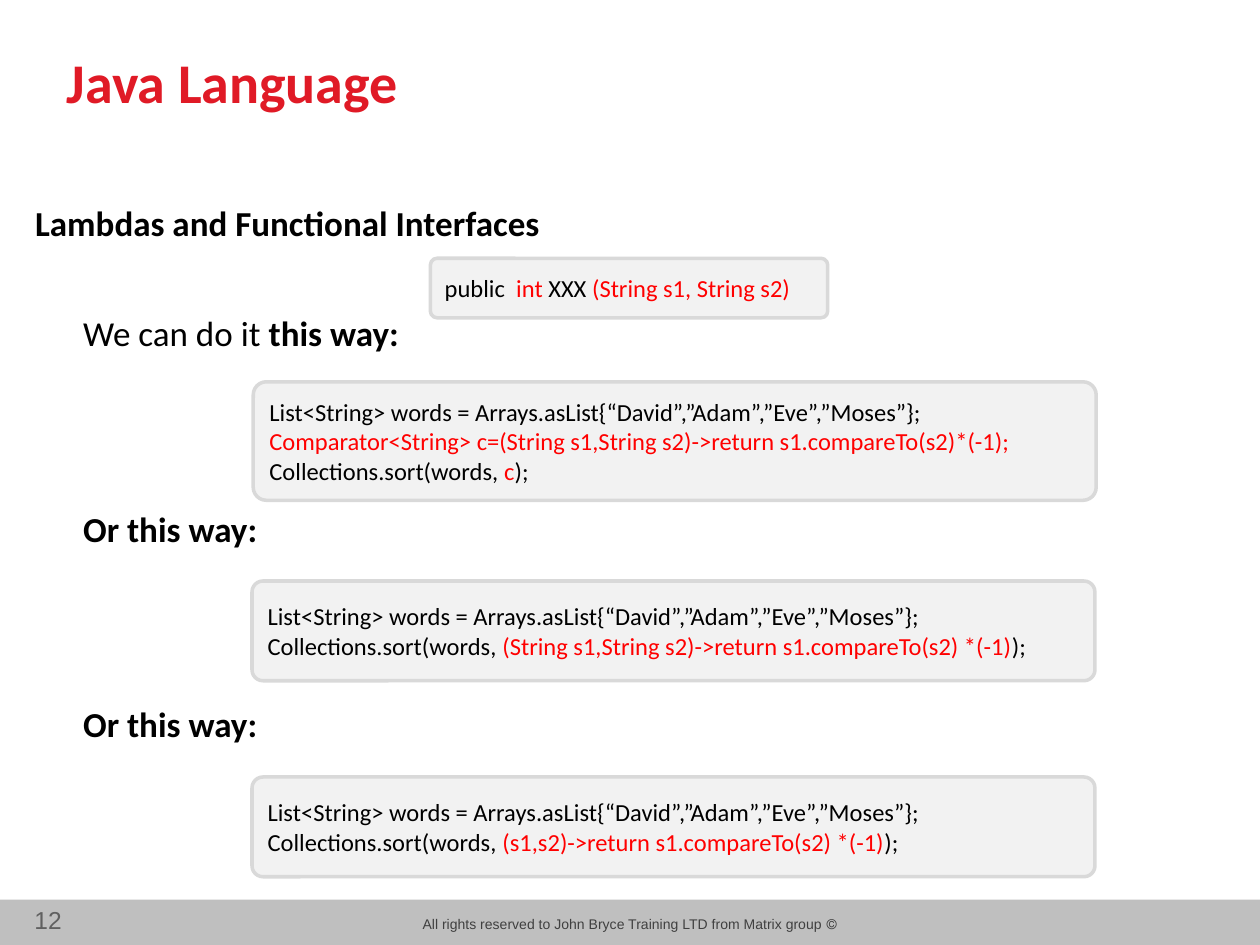
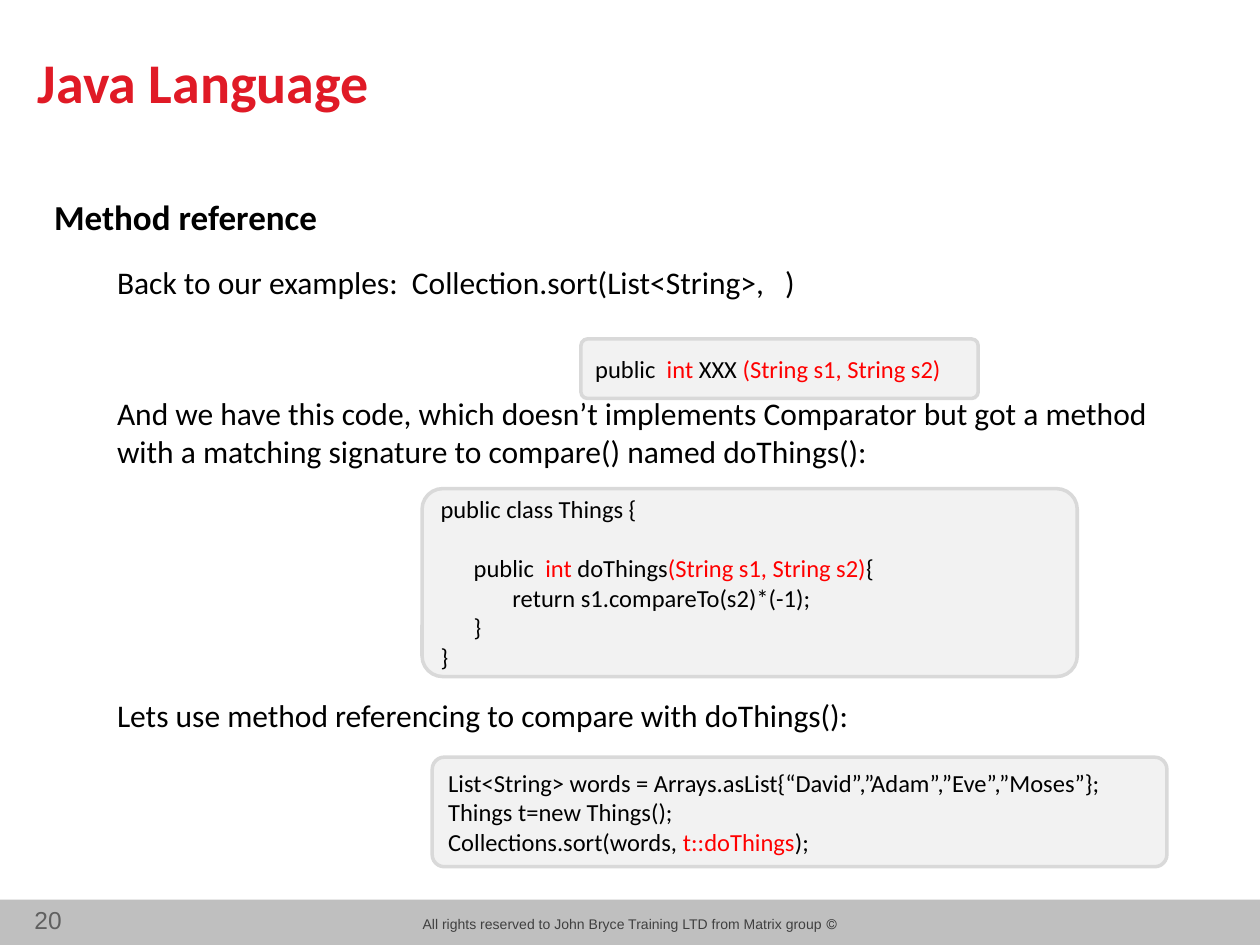
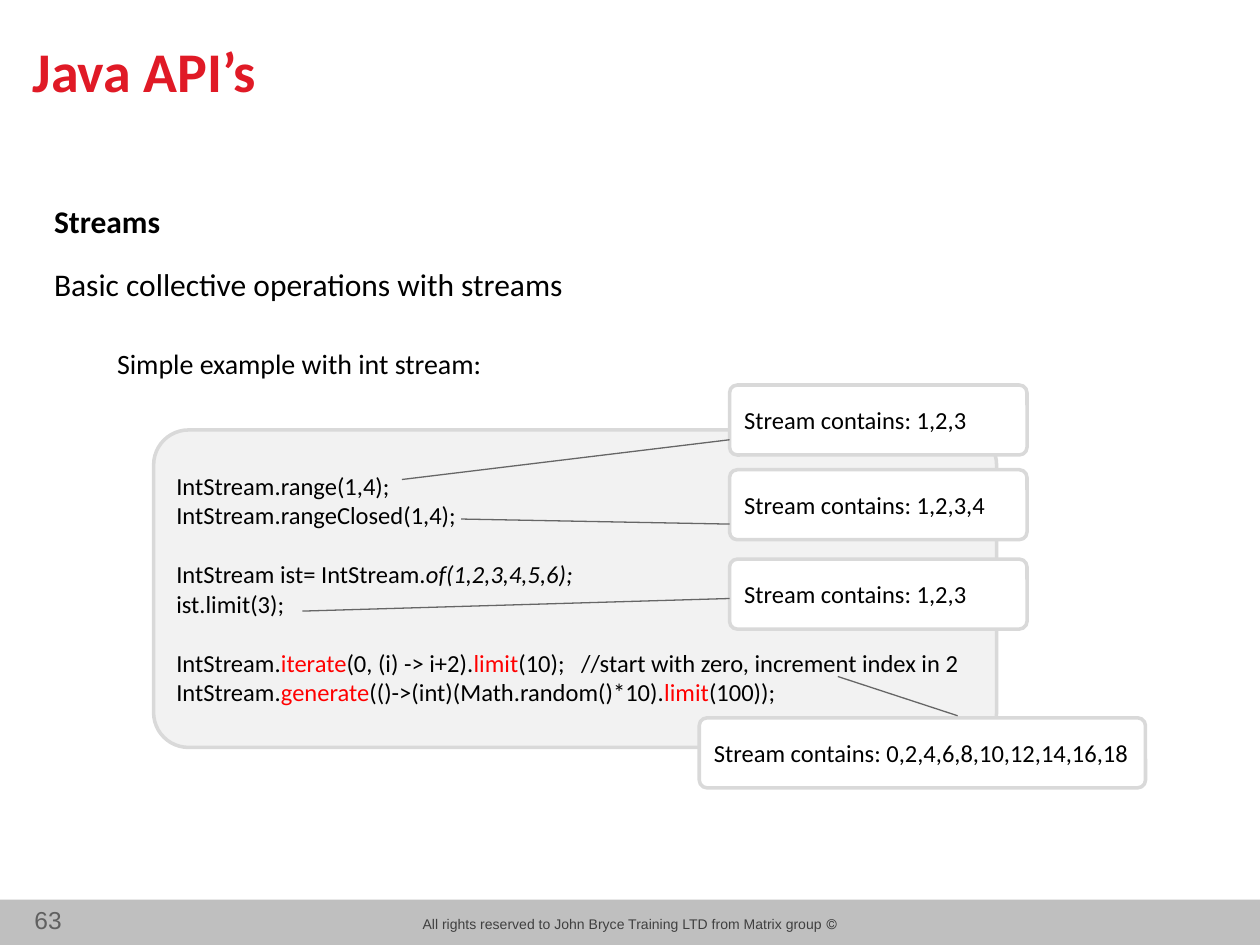
from pptx import Presentation
from pptx.dml.color import RGBColor
from pptx.enum.shapes import MSO_CONNECTOR as Connector, MSO_SHAPE as Preset
from pptx.enum.text import MSO_ANCHOR as Anchor, PP_ALIGN as Align
from pptx.util import Pt
from lxml.etree import SubElement
from pptx.oxml.ns import qn
from dataclasses import dataclass


@dataclass(frozen=True)
class Theme:
    red: str = "E01A26"
    accent: str = "FF0000"
    ink: str = "000000"
    band: str = "BFBFBF"
    code_fill: str = "F2F2F2"
    callout_fill: str = "FFFFFF"
    border: str = "D9D9D9"
    leader: str = "666666"
    footer_ink: str = "404040"
    number_ink: str = "606060"
    text_font: str = "Calibri"
    footer_font: str = "Arial"
    title_size: int = 32
    code_size: int = 14
    number_size: int = 14
    footer_size: int = 8
    code_gap: float = 17.1


THEME = Theme()
WIDTH, HEIGHT = 720, 540
BAND_TOP = 514

# Styles that a piece of text may name; a plain string has none.
STYLES = {
    "red": {"color": THEME.accent},
    "bold": {"bold": True},
    "italic": {"italic": True},
}

FOOTER = "© All rights reserved to John Bryce Training LTD from Matrix group"
WORDS = ["List<String> words = Arrays.asList{“David”,”Adam”,”Eve”,”Moses”};"]
SIGNATURE = [[["public  ", ("int", "red"), " XXX ", ("(String s1, String s2)", "red")]]]


def sort_call(argument):
    return ["Collections.sort(words, ", (argument, "red"), ");"]


# body: (space before, indent, size, pieces)
# code and callouts: (left, top, width, height, blocks of lines); a blank line parts two blocks
# leaders: (from x, from y, to x, to y)
SLIDES = [
    {
        "number": "12",
        "title": ("Java Language", 31, 20),
        "body_at": (13, 111.6),
        "body": [
            (0, 0, 20, [("Lambdas and Functional Interfaces", "bold")]),
            (39, 27.4, 20, ["We can do it ", ("this way:", "bold")]),
            (87.6, 27.4, 20, [("Or this way:", "bold")]),
            (87.6, 27.4, 20, [("Or this way:", "bold")]),
        ],
        "code": [
            (246, 147.6, 227, 34, SIGNATURE),
            (144.7, 218.2, 481.7, 67.7, [[
                WORDS,
                [("Comparator<String> c=(String s1,String s2)->return s1.compareTo(s2)*(-1);", "red")],
                sort_call("c"),
            ]]),
            (144, 332, 481.7, 57, [[
                WORDS, sort_call("(String s1,String s2)->return s1.compareTo(s2) *(-1)"),
            ]]),
            (144, 444, 481.7, 57, [[
                WORDS, sort_call("(s1,s2)->return s1.compareTo(s2) *(-1)"),
            ]]),
        ],
    },
    {
        "number": "20",
        "title": ("Java Language", 14.4, 20),
        "body_at": (23.8, 108),
        "body": [
            (0, 0, 20, [("Method reference", "bold")]),
            (14.6, 36, 18, ["Back to our examples:  Collection.sort(List<String>,   )"]),
            (53.5, 36, 18, [
                "And we have this code, which doesn’t implements Comparator but got a method "
                "with a matching signature to compare() named doThings():"]),
            (129.5, 36, 18, ["Lets use method referencing to compare with doThings():"]),
        ],
        "code": [
            (247, 432.7, 419.8, 62.6, [[
                WORDS, ["Things t=new Things();"], sort_call("t::doThings"),
            ]]),
            (332, 193.7, 227, 34, SIGNATURE),
            (241.2, 279.2, 374.4, 107.4, [
                [["public class Things {"]],
                [
                    ["      public  ", ("int ", "red"), "doThings",
                     ("(String s1, String s2)", "red"), "{"],
                    ["             return s1.compareTo(s2)*(-1);"],
                    ["      }"],
                    ["}"],
                ],
            ]),
        ],
    },
    {
        "number": "63",
        "title": ("Java API’s", 11.5, 13.7),
        "body_at": (23.8, 111.6),
        "body": [
            (0, 0, 18, [("Streams", "bold")]),
            (14.6, 0, 18, ["Basic collective operations with streams"]),
            (25, 36, 16, ["Simple example with int stream:"]),
        ],
        "code": [
            (87.8, 245.7, 481.7, 181.4, [
                [["IntStream.range(1,4);"], ["IntStream.rangeClosed(1,4);"]],
                [["IntStream ist= IntStream.", ("of(1,2,3,4,5,6);", "italic")], ["ist.limit(3);"]],
                [
                    ["IntStream.", ("iterate", "red"), "(0, (i) -> i+2).", ("limit", "red"),
                     "(10);   //start with zero, increment index in 2"],
                    ["IntStream.", ("generate", "red"), "(()->(int)(Math.random()*10).",
                     ("limit", "red"), "(100));"],
                ],
            ]),
        ],
        "callouts": [
            (416.9, 220, 170, 40, [[["Stream contains: 1,2,3"]]]),
            (416.9, 268.4, 170, 40, [[["Stream contains: 1,2,3,4"]]]),
            (416.9, 319.5, 170, 40, [[["Stream contains: 1,2,3"]]]),
            (399.6, 410.2, 255, 40, [[["Stream contains: 0,2,4,6,8,10,12,14,16,18"]]]),
        ],
        "leaders": [
            (229.7, 274, 416.9, 251.3),
            (263.5, 296.6, 416.9, 299.5),
            (172.8, 349.2, 416.9, 342),
            (478.8, 386.6, 547.2, 409),
        ],
    },
]


def color(value):
    return RGBColor.from_string(value)


def write(paragraph, pieces, **base):
    for piece in pieces:
        text, style = piece if isinstance(piece, tuple) else (piece, None)
        run = paragraph.add_run()
        run.text = text
        formats = {"name": THEME.text_font, "color": THEME.ink, **base, **STYLES.get(style, {})}
        run.font.color.rgb = color(formats.pop("color"))
        for attribute, value in formats.items():
            setattr(run.font, attribute, value)


def add_paragraph(frame, first):
    return frame.paragraphs[0] if first else frame.add_paragraph()


def add_text_box(slide, left, top, width, height):
    frame = slide.shapes.add_textbox(Pt(left), Pt(top), Pt(width), Pt(height)).text_frame
    frame.word_wrap = True
    return frame


def add_shape(slide, preset, box, fill, line=None):
    shape = slide.shapes.add_shape(preset, *map(Pt, box))
    shape.shadow.inherit = False
    shape.fill.solid()
    shape.fill.fore_color.rgb = color(fill)
    if line:
        shape.line.color.rgb = color(line)
        shape.line.width = Pt(2)
    else:
        shape.line.fill.background()
    return shape


def add_frame(slide, content):
    """Footer band, footer text, page number and title."""
    add_shape(slide, Preset.RECTANGLE, (0, BAND_TOP, WIDTH, HEIGHT - BAND_TOP), THEME.band)

    footer = add_text_box(slide, 210, 519.8, 300, 17).paragraphs[0]
    footer.alignment = Align.CENTER
    footer._p.get_or_add_pPr().set("rtl", "1")
    write(footer, [FOOTER], name=THEME.footer_font, size=Pt(THEME.footer_size),
          color=THEME.footer_ink)

    number = add_text_box(slide, 0, 513.4, 42.4, 24.5).paragraphs[0]
    number.alignment = Align.RIGHT
    write(number, [content["number"]], name=THEME.footer_font, size=Pt(THEME.number_size),
          color=THEME.number_ink)

    text, left, top = content["title"]
    title = add_text_box(slide, left, top, 635, 45.4)
    title.vertical_anchor = Anchor.BOTTOM
    title.margin_bottom = 0
    write(title.paragraphs[0], [text], size=Pt(THEME.title_size), bold=True, color=THEME.red)


def add_body(slide, left, top, items):
    frame = add_text_box(slide, left, top, 670, 306)
    for index, (gap, indent, size, pieces) in enumerate(items):
        paragraph = add_paragraph(frame, index == 0)
        paragraph._p.get_or_add_pPr().set("marL", str(Pt(indent)))
        if index:
            paragraph.space_before = Pt(gap)
        write(paragraph, pieces, size=Pt(size))


def add_panel(slide, panel, fill):
    *box, blocks = panel
    shape = add_shape(slide, Preset.ROUNDED_RECTANGLE, box, fill, THEME.border)
    shape.adjustments[0] = 0.11
    frame = shape.text_frame
    frame.word_wrap = True
    frame.vertical_anchor = Anchor.MIDDLE
    for block_index, block in enumerate(blocks):
        for line_index, pieces in enumerate(block):
            paragraph = add_paragraph(frame, block_index == line_index == 0)
            paragraph.alignment = Align.LEFT
            if block_index and line_index == 0:
                paragraph.space_before = Pt(THEME.code_gap)
            write(paragraph, pieces, size=Pt(THEME.code_size))


def add_leader(slide, ends):
    leader = slide.shapes.add_connector(Connector.STRAIGHT, *map(Pt, ends))
    leader.line.color.rgb = color(THEME.leader)
    leader.line.width = Pt(0.75)
    SubElement(leader._element.spPr, qn("a:effectLst"))


def main():
    presentation = Presentation()
    presentation.slide_width, presentation.slide_height = Pt(WIDTH), Pt(HEIGHT)
    for content in SLIDES:
        slide = presentation.slides.add_slide(presentation.slide_layouts[6])
        add_frame(slide, content)
        add_body(slide, *content["body_at"], content["body"])
        for panel in content["code"]:
            add_panel(slide, panel, THEME.code_fill)
        for panel in content.get("callouts", []):
            add_panel(slide, panel, THEME.callout_fill)
        for ends in content.get("leaders", []):
            add_leader(slide, ends)
    presentation.save("out.pptx")


if __name__ == "__main__":
    main()
